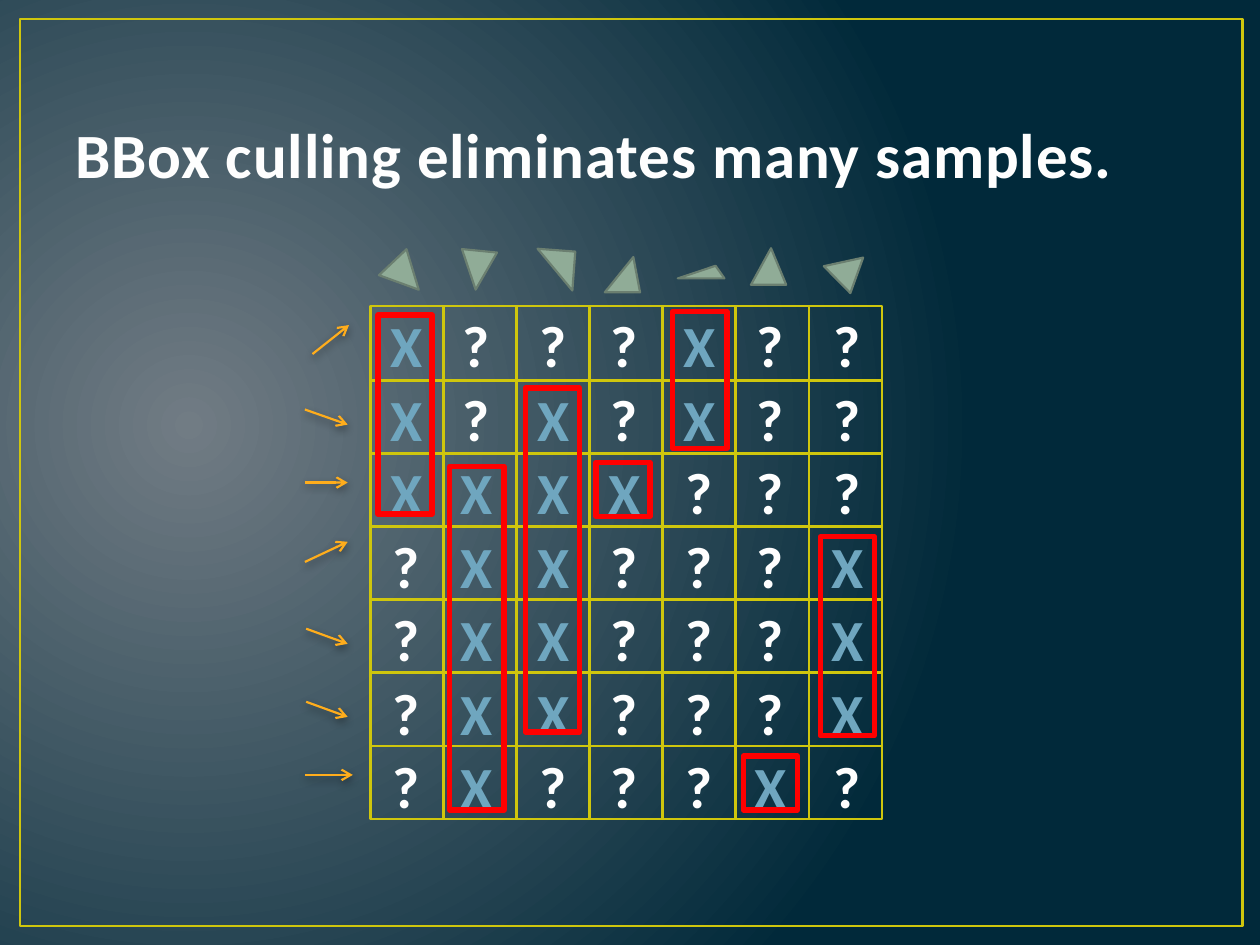
import pptx
import pptx.util
import pptx.dml.color
import pptx.enum.shapes
import pptx.enum.text
import pptx.oxml
import pptx.oxml.ns
from lxml import etree

Inches, Pt = pptx.util.Inches, pptx.util.Pt
RGBColor = pptx.dml.color.RGBColor
SHAPES = pptx.enum.shapes.MSO_SHAPE
ALIGN = pptx.enum.text.PP_ALIGN
qn = pptx.oxml.ns.qn

GLOW = RGBColor(0x71, 0x7C, 0x84)
NAVY = RGBColor(0x01, 0x29, 0x3A)
GOLD = RGBColor(0xCF, 0xC6, 0x0D)
WHITE = RGBColor(0xFE, 0xFE, 0xFE)
BLUE = RGBColor(0x6F, 0xA6, 0xBF)
TEXT_EDGE = RGBColor(0x38, 0x4F, 0x55)
GREEN = RGBColor(0x90, 0xAC, 0x97)
GREEN_EDGE = RGBColor(0x6B, 0x7F, 0x70)
ORANGE = RGBColor(0xFF, 0xAD, 0x1C)
RED = RGBColor(0xFF, 0x00, 0x00)

TITLE = "BBox culling eliminates many samples."
SAMPLES = ["X???X??", "X?X?X??", "XXXX???", "?XX???X", "?XX???X", "?XX???X", "?X???X?"]
MARK_COLORS = {"X": BLUE, "?": WHITE}
MARK_LEFTS = [3, 3.56, 4.17, 4.73, 5.33, 5.89, 6.5]
MARK_TOP, MARK_PITCH = 2.42, 7 / 12
GRID_LEFT, GRID_TOP, GRID_RIGHT, GRID_BOTTOM = 2.94, 2.43, 7, 6.5
CELL = 0.58

# left, top, width, height, rotation, apex position
TRIANGLES = [
    (3.07, 2.04, 0.3, 0.3, 136.6, 0.5),
    (3.65, 1.99, 0.28, 0.31, 185.7, 0.5),
    (4.25, 1.99, 0.31, 0.3, 274.3, 1),
    (4.8, 2.04, 0.28, 0.28, 0, 0.81),
    (5.38, 2.11, 0.37, 0.1, 0, 0.81),
    (5.96, 1.97, 0.28, 0.29, 0, 0.57),
    (6.59, 1.99, 0.3, 0.27, 45.4, 0.57),
]
# start x, start y, end x, end y
RAYS = [
    (2.48, 2.81, 2.77, 2.58),
    (2.42, 3.25, 2.76, 3.37),
    (2.42, 3.83, 2.76, 3.83),
    (2.42, 4.46, 2.76, 4.3),
    (2.43, 4.99, 2.76, 5.11),
    (2.43, 5.57, 2.76, 5.69),
    (2.42, 6.15, 2.8, 6.15),
]
# left, top, height of each bounding box
BOUNDING_BOXES = [
    (3.57, 3.7, 2.73), (4.17, 3.08, 2.73), (3, 2.5, 1.58), (6.51, 4.26, 1.58),
    (5.34, 2.47, 1.09), (4.73, 3.67, 0.43), (5.9, 6, 0.43),
]
BOX_WIDTH = 0.43


def set_background(slide):
    """Fill the slide with a radial gradient centred left of the middle."""
    fill = slide.background.fill
    fill.gradient()
    for stop, color in zip(fill.gradient_stops, (GLOW, NAVY)):
        stop.color.rgb = color
    gradient = next(slide.element.iter(qn("a:gradFill")))
    gradient.remove(gradient.find(qn("a:lin")))
    circle = etree.SubElement(gradient, qn("a:path"), path="circle")
    etree.SubElement(circle, qn("a:fillToRect"), l="15000", t="50000", r="85000", b="60000")


def add_shape(slide, kind, box, line_color, line_width, fill_color=None):
    shape = slide.shapes.add_shape(kind, *map(Inches, box))
    shape.shadow.inherit = False
    if fill_color is None:
        shape.fill.background()
    else:
        shape.fill.solid()
        shape.fill.fore_color.rgb = fill_color
    shape.line.color.rgb = line_color
    shape.line.width = Pt(line_width)
    return shape


def add_line(slide, ends, color, width):
    """Draw a straight line and return it with its empty effect list."""
    line = slide.shapes.add_connector(
        pptx.enum.shapes.MSO_CONNECTOR.STRAIGHT, *map(Inches, ends))
    line.line.color.rgb = color
    line.line.width = Pt(width)
    effects = etree.SubElement(line.element.spPr, qn("a:effectLst"))
    return line, effects


def add_ray(slide, ends):
    ray, effects = add_line(slide, ends, ORANGE, 1.25)
    etree.SubElement(ray.line._get_or_add_ln(), qn("a:tailEnd"), type="arrow")
    shadow = etree.SubElement(
        effects, qn("a:outerShdw"), blurRad=str(Pt(5)), dist=str(Pt(2)), dir="5400000")
    black = etree.SubElement(shadow, qn("a:srgbClr"), val="000000")
    etree.SubElement(black, qn("a:alpha"), val="43000")


def add_text(slide, text, box, size, color, alignment):
    """Add bold, thinly outlined text that stands on the bottom of its box."""
    shape = slide.shapes.add_textbox(*map(Inches, box))
    frame_format = {
        "word_wrap": True,
        "vertical_anchor": pptx.enum.text.MSO_ANCHOR.BOTTOM,
        "margin_top": Inches(0.03),
        "margin_bottom": Inches(0.03),
    }
    for name, value in frame_format.items():
        setattr(shape.text_frame, name, value)
    paragraph = shape.text_frame.paragraphs[0]
    paragraph.alignment = alignment
    run = paragraph.add_run()
    run.text = text
    for name, value in {"name": "Calibri", "size": Pt(size), "bold": True}.items():
        setattr(run.font, name, value)
    run.font.color.rgb = color
    properties = run.font._element
    properties.set("spc", "50")
    outline = etree.Element(qn("a:ln"), w=str(Pt(1.05)))
    outline_fill = etree.SubElement(outline, qn("a:solidFill"))
    etree.SubElement(outline_fill, qn("a:srgbClr"), val=str(TEXT_EDGE))
    properties.insert(0, outline)


def add_grid(slide):
    width, height = GRID_RIGHT - GRID_LEFT, GRID_BOTTOM - GRID_TOP
    add_shape(slide, SHAPES.RECTANGLE, (GRID_LEFT, GRID_TOP, width, height), GOLD, 1.5)
    for index in range(1, len(SAMPLES)):
        x, y = GRID_LEFT + CELL * index, GRID_BOTTOM - CELL * index
        add_line(slide, (x, GRID_TOP, x, GRID_BOTTOM), GOLD, 1.5)
        add_line(slide, (GRID_LEFT, y, GRID_RIGHT, y), GOLD, 1.5)


def main():
    presentation = pptx.Presentation()
    presentation.slide_width, presentation.slide_height = Inches(10), Inches(7.5)
    slide = presentation.slides.add_slide(presentation.slide_layouts[6])
    set_background(slide)
    add_shape(slide, SHAPES.RECTANGLE, (0.16, 0.15, 9.7, 7.2), GOLD, 1.5)
    add_text(slide, TITLE, (0.5, 0.3, 9, 1.25), 36, WHITE, ALIGN.LEFT)
    add_grid(slide)
    for *box, rotation, apex in TRIANGLES:
        triangle = add_shape(slide, SHAPES.ISOSCELES_TRIANGLE, box, GREEN_EDGE, 1.25, GREEN)
        triangle.rotation = rotation
        triangle.adjustments[0] = apex
    for ends in RAYS:
        add_ray(slide, ends)
    for row, marks in enumerate(SAMPLES):
        for left, mark in zip(MARK_LEFTS, marks):
            box = (left, MARK_TOP + MARK_PITCH * row, 0.44, 0.62)
            add_text(slide, mark, box, 33.3, MARK_COLORS[mark], ALIGN.CENTER)
    for left, top, height in BOUNDING_BOXES:
        add_shape(slide, SHAPES.RECTANGLE, (left, top, BOX_WIDTH, height), RED, 3)
    presentation.save("out.pptx")


if __name__ == "__main__":
    main()
